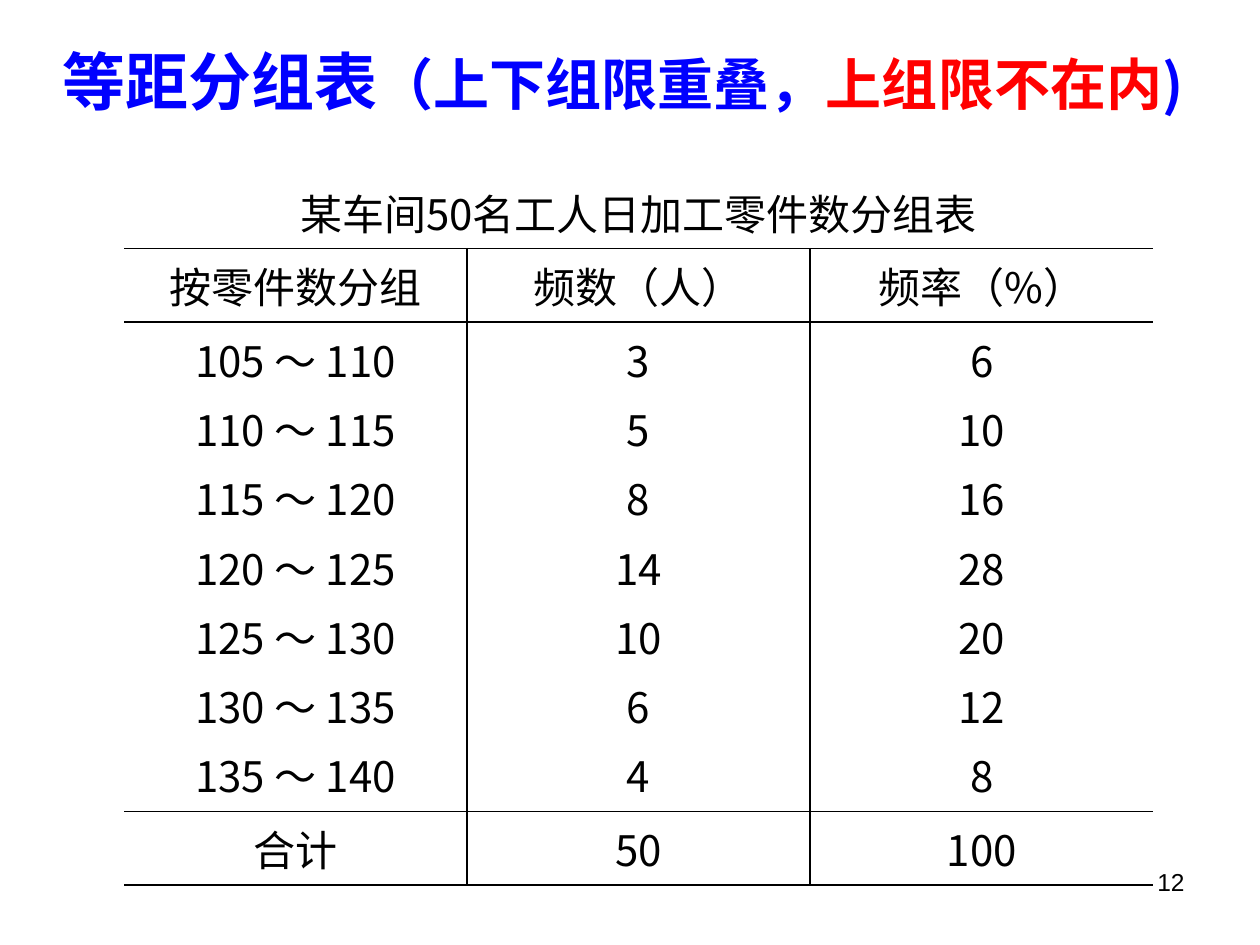
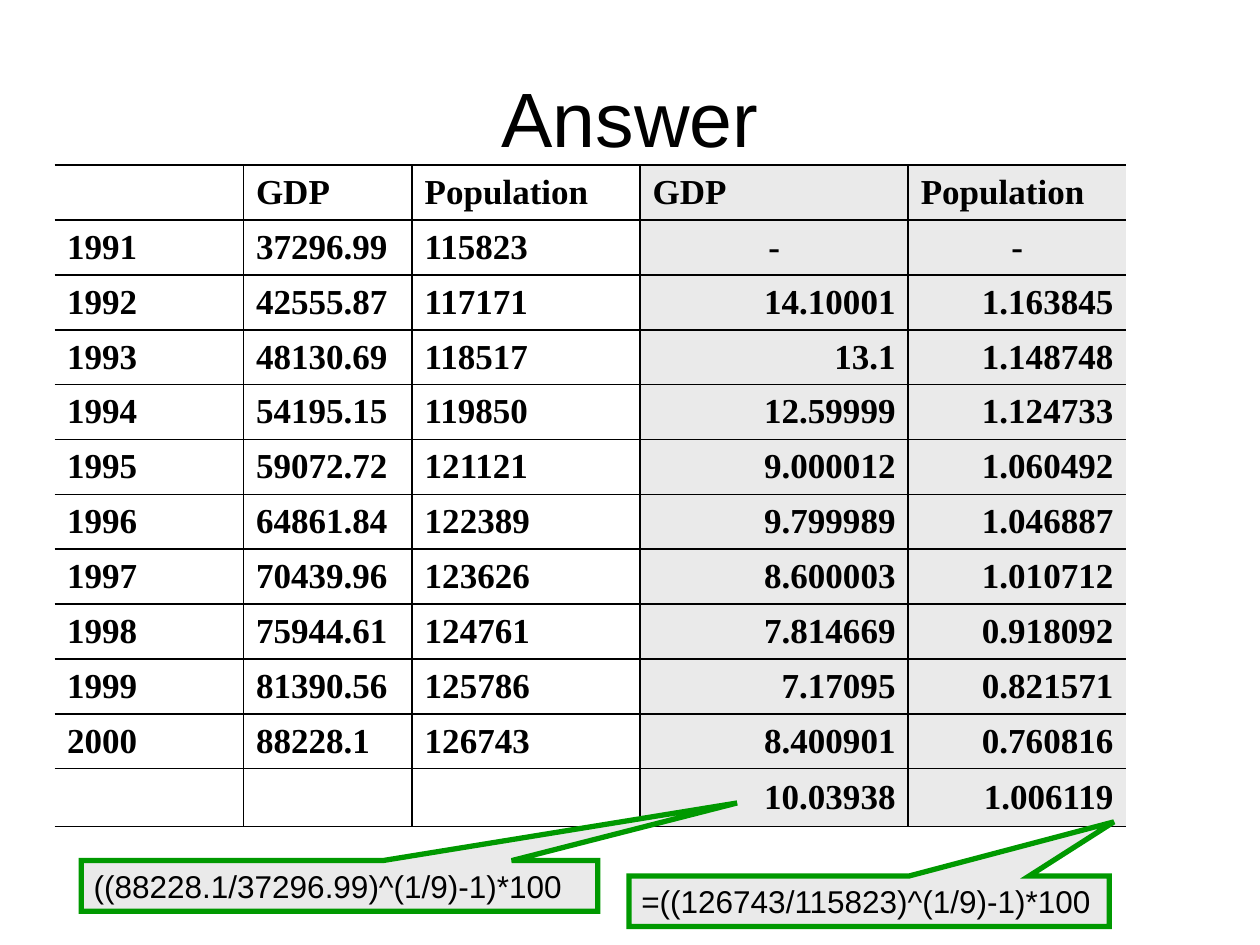
from collections import namedtuple

from lxml.etree import SubElement
from pptx import Presentation
from pptx.dml.color import RGBColor
from pptx.enum.shapes import MSO_SHAPE
from pptx.enum.text import MSO_ANCHOR, MSO_AUTO_SIZE, PP_ALIGN
from pptx.oxml.ns import qn
from pptx.util import Cm, Pt

COLOURS = {
    "ink": "000000",
    "heading": "0000FF",
    "warning": "FF0000",
    "shade": "EAEAEA",
    "callout_line": "009900",
}
SANS = "Arial"
CHINESE = "Noto Sans CJK SC"
SERIF = "Times New Roman"
TITLE_ONLY = 5

Box = namedtuple("Box", "left top width height")
Style = namedtuple("Style", "font size colour bold", defaults=("ink", False))

PARTS_TEXT = Style(CHINESE, 24)
GROWTH_TEXT = Style(SERIF, 20, bold=True)

PARTS_GROUPS = [
    ("105 ～ 110", "3", "6"),
    ("110 ～ 115", "5", "10"),
    ("115 ～ 120", "8", "16"),
    ("120 ～ 125", "14", "28"),
    ("125 ～ 130", "10", "20"),
    ("130 ～ 135", "6", "12"),
    ("135 ～ 140", "4", "8"),
]
GROWTH_ROWS = [
    ("", "GDP", "Population", "GDP", "Population"),
    ("1991", "37296.99", "115823", "-", "-"),
    ("1992", "42555.87", "117171", "14.10001", "1.163845"),
    ("1993", "48130.69", "118517", "13.1", "1.148748"),
    ("1994", "54195.15", "119850", "12.59999", "1.124733"),
    ("1995", "59072.72", "121121", "9.000012", "1.060492"),
    ("1996", "64861.84", "122389", "9.799989", "1.046887"),
    ("1997", "70439.96", "123626", "8.600003", "1.010712"),
    ("1998", "75944.61", "124761", "7.814669", "0.918092"),
    ("1999", "81390.56", "125786", "7.17095", "0.821571"),
    ("2000", "88228.1", "126743", "8.400901", "0.760816"),
    ("", "", "", "10.03938", "1.006119"),
]


def colour(name):
    """Return the named colour."""
    return RGBColor.from_string(COLOURS[name])


def lengths(box):
    """Turn a box in centimetres into four lengths."""
    return [Cm(value) for value in box]


def add_span(para, text, style):
    """Add one formatted run to a paragraph."""
    span = para.add_run()
    span.text = text
    font = span.font
    font.name, font.size, font.bold = style.font, Pt(style.size), style.bold
    font.color.rgb = colour(style.colour)
    SubElement(font._element, qn("a:ea")).set("typeface", style.font)


def write_lines(frame, lines, style, align, gap=0):
    """Write one paragraph per line, with a gap between paragraphs."""
    for index, line in enumerate(lines):
        para = frame.add_paragraph() if index else frame.paragraphs[0]
        para.alignment = align
        if index:
            para.space_before = Pt(gap)
        add_span(para, line, style)


def add_titled_page(deck, box, spans):
    """Add a title-only page whose title is made of styled spans."""
    page = deck.slides.add_slide(deck.slide_layouts[TITLE_ONLY])
    title = page.shapes.title
    title.left, title.top, title.width, title.height = lengths(box)
    frame = title.text_frame
    frame.word_wrap = True
    frame.auto_size = MSO_AUTO_SIZE.NONE
    frame.vertical_anchor = MSO_ANCHOR.MIDDLE
    para = frame.paragraphs[0]
    para.alignment = PP_ALIGN.CENTER
    for text, style in spans:
        add_span(para, text, style)
    return page


def add_page_number(page, box, number):
    """Write the page number at the right of its box."""
    frame = page.shapes.add_textbox(*lengths(box)).text_frame
    frame.word_wrap = True
    write_lines(frame, [number], Style(SANS, 14), PP_ALIGN.RIGHT)


def inner_edges(column, count):
    """Name the ruled sides of a cell in the given column."""
    return "TB" + "L" * (column > 0) + "R" * (column < count - 1)


def draw_edges(cell, visible):
    """Rule the named sides of a cell and clear the others."""
    properties = cell._tc.get_or_add_tcPr()
    for side in "LRTB":
        line = SubElement(properties, qn(f"a:ln{side}"), w=str(Pt(1)))
        if side in visible:
            fill = SubElement(line, qn("a:solidFill"))
            SubElement(fill, qn("a:srgbClr"), val=COLOURS["ink"])
        else:
            SubElement(line, qn("a:noFill"))


def add_plain_table(page, box, column_shares, row_shares):
    """Add an unstyled table whose columns and rows share out its box."""
    rows, columns = len(row_shares), len(column_shares)
    table = page.shapes.add_table(rows, columns, *lengths(box)).table
    table.first_row = table.horz_banding = False
    for column, share in zip(table.columns, column_shares):
        column.width = Cm(box.width * share / sum(column_shares))
    for row, share in zip(table.rows, row_shares):
        row.height = Cm(box.height * share / sum(row_shares))
    return table


def format_cell(cell, edges, shaded=False):
    """Set the rules, fill and anchor of a cell."""
    draw_edges(cell, edges)
    cell.vertical_anchor = MSO_ANCHOR.MIDDLE
    if shaded:
        cell.fill.solid()
        cell.fill.fore_color.rgb = colour("shade")
    else:
        cell.fill.background()


def add_parts_table(page, box):
    """Add the grouped frequency table under its spanning caption."""
    table = add_plain_table(page, box, [1, 1, 1], [1.48, 1.48, 9.87, 1.48])
    rows = [
        [["某车间50名工人日加工零件数分组表"], [], []],
        [["按零件数分组"], ["频数（人）"], ["频率（%）"]],
        list(zip(*PARTS_GROUPS)),
        [["合计"], ["50"], ["100"]],
    ]
    table.cell(0, 0).merge(table.cell(0, 2))
    for row, contents in enumerate(rows):
        for column, lines in enumerate(contents):
            cell = table.cell(row, column)
            format_cell(cell, inner_edges(column, 3) if row else "B")
            write_lines(cell.text_frame, lines, PARTS_TEXT, PP_ALIGN.CENTER, 4.8)


def growth_align(row, column, text):
    """Choose the alignment of a cell in the growth table."""
    if column < 3:
        return PP_ALIGN.JUSTIFY
    if row == 0:
        return PP_ALIGN.LEFT
    return PP_ALIGN.CENTER if text == "-" else PP_ALIGN.RIGHT


def add_growth_table(page, box):
    """Add yearly values with their shaded growth rates."""
    shares = [1.5, 1.34, 1.81, 2.13, 1.73]
    heights = [1.11] * (len(GROWTH_ROWS) - 1) + [1.17]
    table = add_plain_table(page, box, shares, heights)
    for row, texts in enumerate(GROWTH_ROWS):
        for column, text in enumerate(texts):
            cell = table.cell(row, column)
            format_cell(cell, inner_edges(column, len(shares)), column >= 3)
            if text:
                align = growth_align(row, column, text)
                write_lines(cell.text_frame, [text], GROWTH_TEXT, align)


def add_formula_callout(page, box, tip, formula):
    """Add a callout holding a formula, with its tip relative to the box."""
    shape = page.shapes.add_shape(MSO_SHAPE.RECTANGULAR_CALLOUT, *lengths(box))
    shape.adjustments[0], shape.adjustments[1] = tip
    shape.shadow.inherit = False
    shape.fill.solid()
    shape.fill.fore_color.rgb = colour("shade")
    shape.line.color.rgb = colour("callout_line")
    shape.line.width = Pt(3)
    SubElement(shape.line._get_or_add_ln(), qn("a:miter"), lim="800000")
    frame = shape.text_frame
    frame.word_wrap = True
    frame.auto_size = MSO_AUTO_SIZE.SHAPE_TO_FIT_TEXT
    frame.vertical_anchor = MSO_ANCHOR.TOP
    write_lines(frame, [formula], Style(SANS, 18), PP_ALIGN.LEFT)


def add_grouping_page(deck):
    """Build the page with the equal-interval grouping table."""
    note = Style(CHINESE, 32, "heading", True)
    spans = [
        ("等距分组表", note._replace(size=36)),
        ("（上下组限重叠，", note),
        ("上组限不在内", note._replace(colour="warning")),
        (")", note),
    ]
    page = add_titled_page(deck, Box(0.51, 0.53, 24.1, 2.18), spans)
    add_page_number(page, Box(18.21, 17.35, 5.92, 1.32), "12")
    add_parts_table(page, Box(2.5, 3.53, 20.75, 14.31))


def add_answer_page(deck):
    """Build the page with the growth rates and their formulas."""
    spans = [("Answer", Style(SANS, 44))]
    page = add_titled_page(deck, Box(1.27, 0.76, 22.86, 3.18), spans)
    add_growth_table(page, Box(1.1, 3.33, 21.6, 13.34))
    add_formula_callout(page, Box(1.64, 17.35, 10.41, 1.02), (0.77, -1.64),
                        "((88228.1/37296.99)^(1/9)-1)*100")
    add_formula_callout(page, Box(12.68, 17.66, 9.68, 1.02), (0.51, -1.57),
                        "=((126743/115823)^(1/9)-1)*100")


def main():
    """Build and save the deck."""
    deck = Presentation()
    deck.slide_width, deck.slide_height = Cm(25.4), Cm(19.05)
    add_grouping_page(deck)
    add_answer_page(deck)
    deck.save("out.pptx")


if __name__ == "__main__":
    main()
